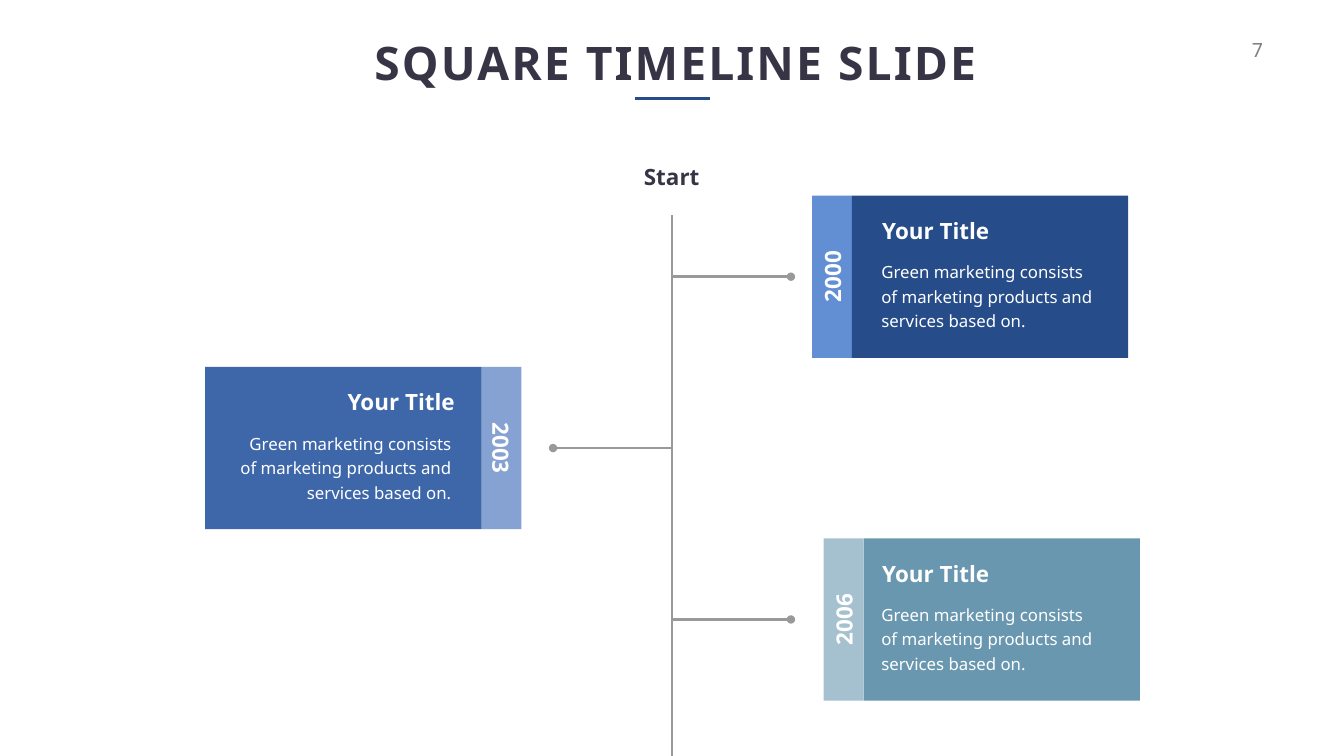
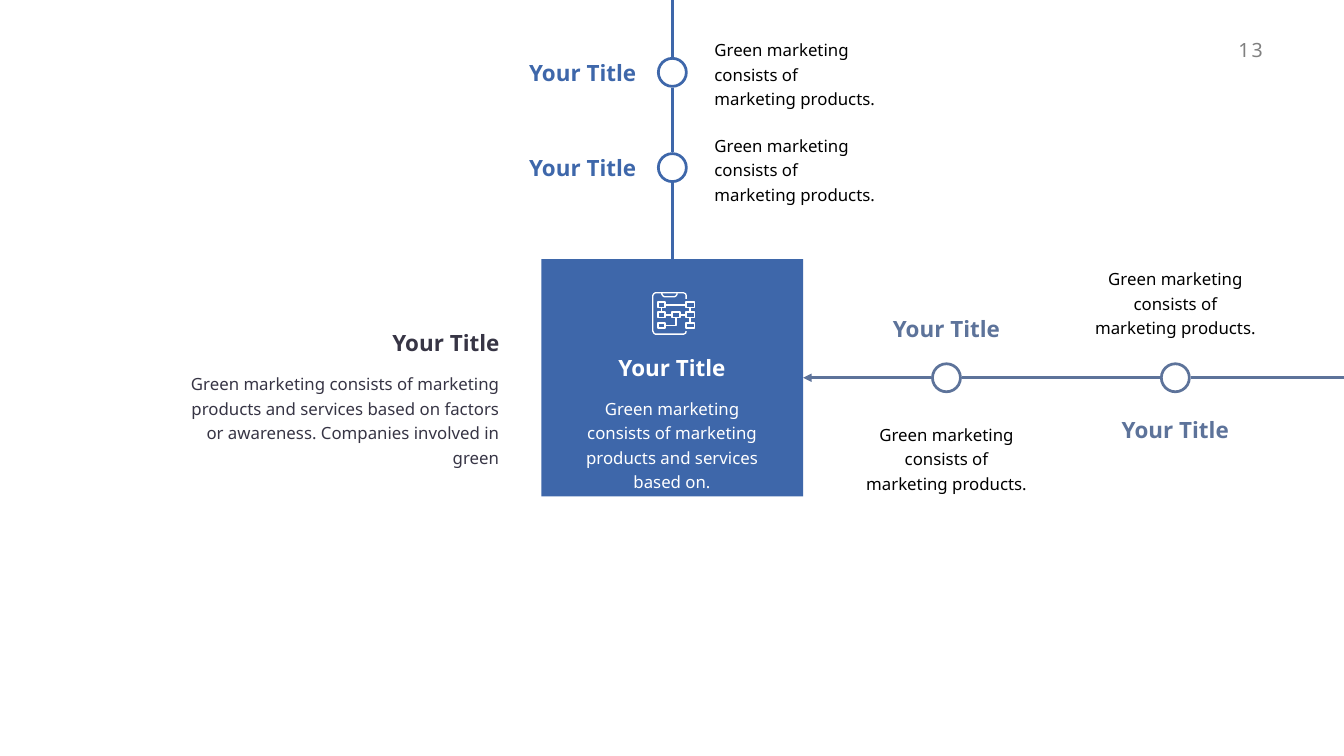
import pptx
import pptx.util
import pptx.dml.color
import pptx.enum.shapes
import pptx.enum.text
import pptx.oxml.ns
from lxml import etree

# Grid: 100 columns by 100 rows; every box is (column, row, columns, rows)
WIDTH, HEIGHT = pptx.util.Inches(26.66), pptx.util.Inches(15)
FONT = "Noto Sans"
INK, WHITE, BLACK, GREY, NUMBER_GREY = "373545", "FFFFFF", "000000", "999999", "808080"
NAVY, BLUE, SLATE, TEAL = "264D89", "3E67AA", "5D739A", "6997AF"
LABEL_W, LABEL_H = 8.89, 4.27
BODY_H, TITLE_GAP = 11.2, 4.9
RING_W, RING_H = 2.29, 4.07

SHAPES = pptx.enum.shapes.MSO_SHAPE
LEFT, CENTER, RIGHT = (pptx.enum.text.PP_ALIGN.LEFT, pptx.enum.text.PP_ALIGN.CENTER,
                       pptx.enum.text.PP_ALIGN.RIGHT)
TOP, MIDDLE, BOTTOM = (pptx.enum.text.MSO_ANCHOR.TOP, pptx.enum.text.MSO_ANCHOR.MIDDLE,
                       pptx.enum.text.MSO_ANCHOR.BOTTOM)


def color(hex_string):
    return pptx.dml.color.RGBColor.from_string(hex_string)


def x(columns):
    return round(WIDTH * columns / 100)


def y(rows):
    return round(HEIGHT * rows / 100)


def place(box):
    return x(box[0]), y(box[1]), x(box[2]), y(box[3])


# Basic parts
def add_text(slide, box, words, size, ink, bold=False, align=LEFT, anchor=TOP, wrap=False,
             insets=(0.1, 0.05, 0.1, 0.05), line_spacing=None, tracking=0):
    text_box = slide.shapes.add_textbox(*place(box))
    frame = text_box.text_frame
    frame.text = words
    frame.word_wrap = wrap
    frame.auto_size = pptx.enum.text.MSO_AUTO_SIZE.SHAPE_TO_FIT_TEXT
    frame.vertical_anchor = anchor
    (frame.margin_left, frame.margin_top,
     frame.margin_right, frame.margin_bottom) = map(pptx.util.Inches, insets)
    paragraph = frame.paragraphs[0]
    paragraph.alignment = align
    if line_spacing:
        paragraph.line_spacing = pptx.util.Pt(line_spacing)
    run = paragraph.runs[0]
    run.font.name, run.font.size, run.font.bold = FONT, pptx.util.Pt(size), bold
    run.font.color.rgb = color(ink)
    if tracking:
        run.font._element.set("spc", str(tracking * 100))
    return text_box


def add_label(slide, box, words, ink, align=LEFT, anchor=MIDDLE):
    return add_text(slide, box, words, 32, ink, True, align, anchor)


def add_body(slide, column, row, columns, words, ink, align=LEFT, anchor=TOP):
    add_text(slide, (column, row, columns, BODY_H), words, 24, ink, False, align, anchor,
             True, (0.24, 0.12, 0.24, 0.12), 35)


def add_caption(slide, column, row, columns, words, ink, align, title_inset=0):
    """Body text with its title above, both aligned to the same side."""
    title_left = {LEFT: column + title_inset,
                  CENTER: column + (columns - LABEL_W) / 2,
                  RIGHT: column + columns - LABEL_W - title_inset}[align]
    add_body(slide, column, row, columns, words, ink, align)
    add_label(slide, (title_left, row - TITLE_GAP, LABEL_W, LABEL_H), "Your Title", ink, align)


def add_block(slide, box, fill, preset=SHAPES.RECTANGLE):
    block = slide.shapes.add_shape(preset, *place(box))
    block.shadow.inherit = False
    block.fill.solid()
    block.fill.fore_color.rgb = color(fill)
    block.line.fill.background()
    return block


def add_line(slide, start, end, ink, width=4, tail=None):
    line = slide.shapes.add_connector(pptx.enum.shapes.MSO_CONNECTOR.STRAIGHT,
                                      x(start[0]), y(start[1]), x(end[0]), y(end[1]))
    line.line.color.rgb = color(ink)
    line.line.width = pptx.util.Pt(width)
    properties = line._element.spPr
    etree.SubElement(properties, pptx.oxml.ns.qn("a:effectLst"))
    if tail:
        outline = properties.find(pptx.oxml.ns.qn("a:ln"))
        etree.SubElement(outline, pptx.oxml.ns.qn("a:tailEnd"), type=tail)
    return line


def new_slide(deck, number):
    slide = deck.slides.add_slide(deck.slide_layouts[6])
    add_text(slide, (91.26, 4.73, 3.08, 3.8), number, 28, NUMBER_GREY, align=RIGHT, tracking=3)
    return slide


# Square timeline
def add_heading(slide, words):
    add_text(slide, (27.19, 4.6, 45.8, 7.4), words, 66, INK, True, CENTER,
             insets=(0.1, 0, 0, 0), tracking=3)
    add_line(slide, (47.26, 13), (52.85, 13), NAVY, 3.6)


def add_event(slide, row, side, card_left, body_left, title_inset, year, fill, band_fill):
    """Branch at the given row, and a card centred on it; side is 1 right, -1 left."""
    band_w, panel_w, card_h = 2.96, 20.56, 21.47
    card_top = row - card_h / 2
    band_left, panel_left = ((card_left, card_left + band_w) if side > 0
                             else (card_left + panel_w, card_left))
    add_line(slide, (50, row), (50 + side * 8.85, row), GREY, tail="oval")
    add_block(slide, (band_left, card_top, band_w, card_h), band_fill)
    add_block(slide, (panel_left, card_top, panel_w, card_h), fill)
    add_caption(slide, body_left, row - 3.33, 17.82,
                "Green marketing consists of marketing products and services based on.",
                WHITE, LEFT if side > 0 else RIGHT, title_inset)
    year_w = 4.61
    year_label = add_label(slide, (band_left + (band_w - year_w) / 2, row - LABEL_H / 2,
                                   year_w, LABEL_H), year, WHITE, CENTER)
    year_label.rotation = 270 if side > 0 else 90


def build_timeline(deck):
    slide = new_slide(deck, "7")
    add_heading(slide, "SQUARE TIMELINE SLIDE")
    add_line(slide, (50, 100), (50, 28.4), GREY)
    add_label(slide, (47.52, 21.2, 4.91, LABEL_H), "Start", INK, CENTER)
    events = [
        (1, 60.43, 64.67, 0.6, "2000", NAVY, "628ED3"),
        (-1, 15.27, 16.65, 0.26, "2003", BLUE, "85A2D2"),
        (1, 61.29, 64.67, 0.6, "2006", TEAL, "A5C1CF"),
    ]
    for index, event in enumerate(events):
        add_event(slide, 36.6 + index * 22.67, *event)


# Flow into a central card
def add_flowchart_icon(slide, column, row, columns):
    """White line icon on an 85-unit square: a phone with a flow chart."""
    def node(left, top):
        right, bottom = left + 15, top + 10.5
        return [(left, top), (right, top), (right, bottom), (left, bottom), (left, top)]

    phone = [(68.5, 14), (68.5, 7), (67, 3.5), (63, 1.5), (7, 1.5), (3.5, 3.5), (1.5, 7),
             (1.5, 78), (3.5, 82), (7, 83.5), (63, 83.5), (67, 82), (68.5, 78)]
    notch = [(20, 1.5), (20, 5), (21.5, 8.5), (25, 10), (45, 10), (48.5, 8.5),
             (50.5, 5), (50.5, 1.5)]
    nodes = [node(left, top) for left in (11.5, 68.5) for top in (20.5, 40.5, 61.5)]
    links = [
        [(26.5, 26), (68.5, 26)], [(26.5, 46), (40.5, 46)], [(55.5, 46), (68.5, 46)],
        [(19, 31), (19, 40.5)], [(76, 31), (76, 40.5)], [(76, 51), (76, 61.5)],
        [(26.5, 67), (48, 67), (48, 51)],
    ]
    builder = slide.shapes.build_freeform(*phone[0], scale=x(columns) / 85)
    builder.add_line_segments(phone[1:], close=False)
    for stroke in [notch, node(40.5, 40.5), *nodes, *links]:
        builder.move_to(*stroke[0])
        builder.add_line_segments(stroke[1:], close=False)
    icon = builder.convert_to_shape(x(column), y(row))
    icon.shadow.inherit = False
    icon.fill.background()
    icon.line.color.rgb = color(WHITE)
    icon.line.width = pptx.util.Pt(1.9)


def add_ring(slide, column, row, ink):
    ring = add_block(slide, (column - RING_W / 2, row - RING_H / 2, RING_W, RING_H), ink,
                     SHAPES.DONUT)
    ring.adjustments[0] = 0.09


def add_center_card(slide, box):
    left, top, columns, _ = box
    card = add_block(slide, box, BLUE)
    add_flowchart_icon(slide, left + 8.21, top + 4.33, 3.19)
    add_caption(slide, left + 1.61, top + 17.07, 16.2,
                "Green marketing consists of marketing products and services based on.",
                WHITE, CENTER)
    return card


def add_vertical_branch(slide, card, column, card_top, ring_rows, words):
    line_top = 0
    for row in ring_rows:
        add_line(slide, (column, line_top), (column, row - RING_H / 2), BLUE)
        add_ring(slide, column, row, BLUE)
        add_label(slide, (column - 11.2, row - 2.07, LABEL_W, LABEL_H), "Your Title",
                  BLUE, RIGHT, TOP)
        add_body(slide, column + 2.23, row - 5.53, 13.88, words, BLACK, LEFT, BOTTOM)
        line_top = row + RING_H / 2
    add_line(slide, (column, line_top), (column, card_top), BLUE).end_connect(card, 0)


def add_horizontal_branch(slide, card, row, card_right, ring_columns, words):
    body_w = 13.88
    arrow_start = ring_columns[0] - RING_W / 2
    arrow = add_line(slide, (arrow_start, row), (card_right, row), SLATE, tail="triangle")
    arrow.end_connect(card, 3)
    above, below = row - 4.47, row + 4.8
    line_ends = [column - RING_W / 2 for column in ring_columns[1:]] + [100]
    for index, (column, line_end) in enumerate(zip(ring_columns, line_ends)):
        add_ring(slide, column, row, SLATE)
        add_line(slide, (column + RING_W / 2, row), (line_end, row), SLATE)
        # Titles alternate above and below the line, with the text opposite
        title_above = index % 2 == 0
        title_top, title_anchor = (above - LABEL_H, BOTTOM) if title_above else (below, TOP)
        body_top, body_anchor = (below, TOP) if title_above else (above - BODY_H, BOTTOM)
        add_label(slide, (column - LABEL_W / 2, title_top, LABEL_W, LABEL_H), "Your Title",
                  SLATE, CENTER, title_anchor)
        add_body(slide, column - body_w / 2, body_top, body_w, words, BLACK, CENTER, body_anchor)


def build_flow(deck):
    slide = new_slide(deck, "13")
    left, top, columns, rows = card_box = (40.29, 34.27, 19.47, 31.4)
    card = add_center_card(slide, card_box)
    words = "Green marketing consists of marketing products."
    add_vertical_branch(slide, card, left + columns / 2, top, (9.57, 22.17), words)
    add_horizontal_branch(slide, card, top + rows / 2, left + columns, (70.42, 87.45), words)
    add_caption(slide, 12.3, 48.07, 25.73,
                "Green marketing consists of marketing products and services based on "
                "factors or awareness. Companies involved in green", INK, RIGHT, 0.49)


def main():
    deck = pptx.Presentation()
    deck.slide_width, deck.slide_height = WIDTH, HEIGHT
    build_timeline(deck)
    build_flow(deck)
    deck.save("out.pptx")


if __name__ == "__main__":
    main()
